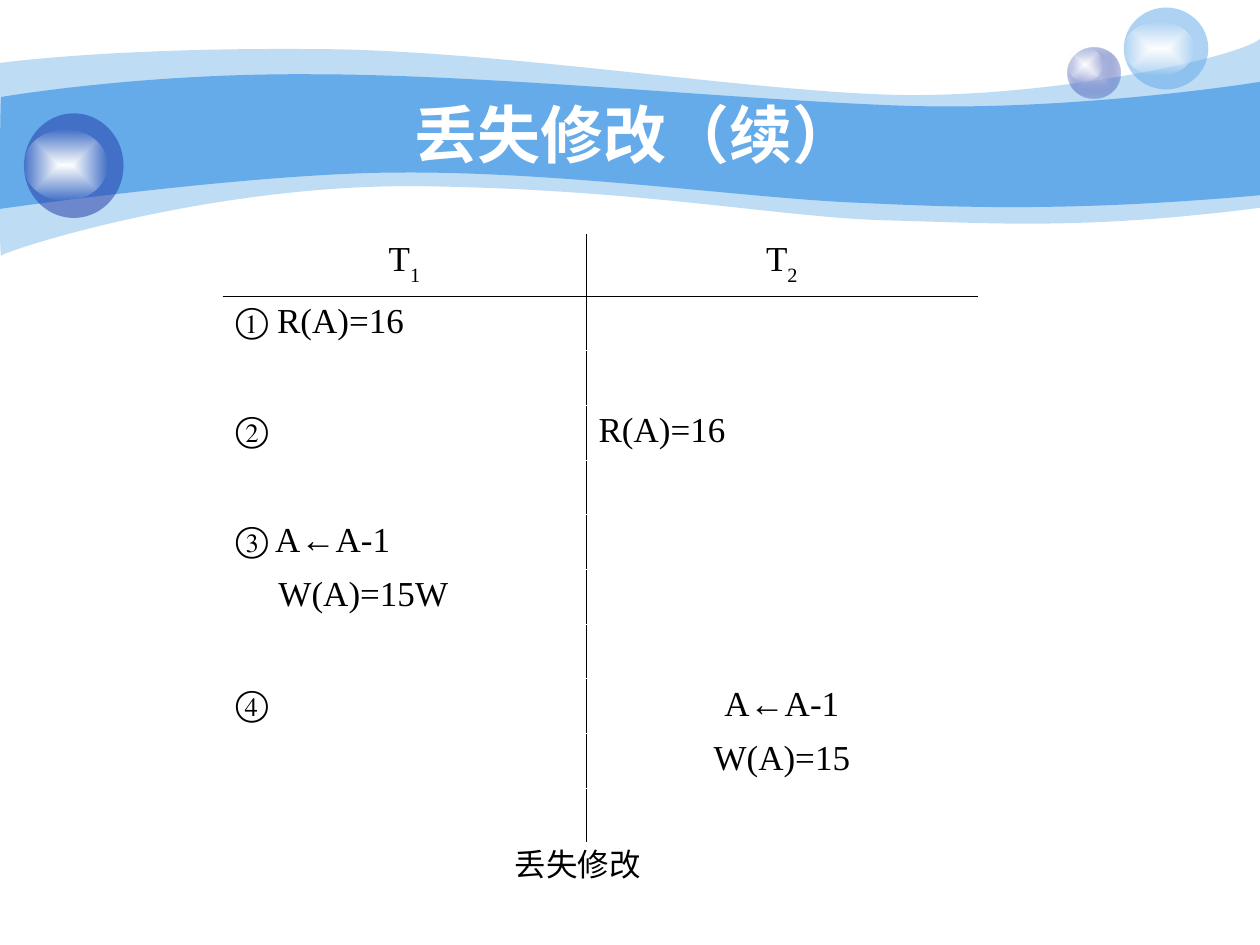
from lxml import etree
from pptx import Presentation
from pptx.dml.color import RGBColor
from pptx.enum.shapes import MSO_SHAPE
from pptx.enum.text import MSO_ANCHOR, MSO_AUTO_SIZE, PP_ALIGN
from pptx.oxml import parse_xml
from pptx.oxml.ns import nsdecls, qn
from pptx.util import Inches, Pt

OVAL = MSO_SHAPE.OVAL
MIDDLE = MSO_ANCHOR.MIDDLE
GROW = MSO_AUTO_SIZE.SHAPE_TO_FIT_TEXT
LEFT, CENTER = PP_ALIGN.LEFT, PP_ALIGN.CENTER

SKY, NAVY, WHITE, BLACK = "65AAE9", "233DA9", "FFFFFF", "000000"

# Each wave is a start point and a list of curves (six numbers) or lines (two).
OUTER = (0, 0.5), [
    (0.24, 0.47, 1.07, 0.38, 2.47, 0.39), (3.86, 0.39, 5.75, 0.7, 6.99, 0.75),
    (8.22, 0.8, 9.8, 0.47, 10, 0.31), (10, 1.65),
    (8.58, 1.83, 7.87, 1.77, 7.05, 1.75), (6.22, 1.73, 5.15, 1.51, 3.43, 1.48),
    (1.72, 1.44, 0.04, 1.99, 0.01, 2.03), (-0.01, 2.08, 0, 0.75, 0, 0.5)]
INNER = (0.01, 0.77), [
    (0.02, 0.77, 1.1, 0.58, 2.48, 0.59), (3.86, 0.59, 5.95, 0.8, 7.18, 0.84),
    (8.41, 0.88, 9.76, 0.69, 10, 0.65), (10, 1.55),
    (8.53, 1.68, 7.65, 1.65, 6.82, 1.61), (5.99, 1.58, 4.47, 1.36, 3.17, 1.37),
    (2.03, 1.37, -0.02, 1.66, -0.01, 1.66), (0, 1.66, 0, 0.77, 0.01, 0.77)]

GLOW = [(0, WHITE, 100), (100, WHITE, 0)]
HAZE = [(0, "C7CEE9", 100), (100, NAVY, 31)]

# Text, alignment and left indent, keyed by row and column
CELLS = {
    (0, 0): ("T", CENTER, 0), (0, 1): ("T", CENTER, 0),
    (1, 0): ("① R(A)=16", LEFT, 0),
    (3, 0): ("②", LEFT, 0), (3, 1): ("R(A)=16", LEFT, 0),
    (5, 0): ("③ A←A-1", LEFT, 0), (6, 0): ("W(A)=15W", LEFT, 0.34),
    (8, 0): ("④", LEFT, 0), (8, 1): ("A←A-1", CENTER, 0),
    (9, 1): ("W(A)=15", CENTER, 0),
}


def color(code):
    return RGBColor.from_string(code)


def bend(shape, parts):
    """Turn each three line segments that belong to a curve into that curve."""
    lines = iter(list(shape._element.iter(qn("a:lnTo"))))
    for part in parts:
        group = [next(lines) for _ in range(len(part) // 2)]
        if len(group) == 3:
            curve = etree.Element(qn("a:cubicBezTo"))
            group[0].addprevious(curve)
            for line in group:
                curve.append(line[0])
                line.getparent().remove(line)


class Deck:
    font = "Times New Roman"

    def __init__(self):
        self.show = Presentation()
        self.show.slide_width, self.show.slide_height = Inches(10), Inches(7.5)
        self.slide = self.show.slides.add_slide(self.show.slide_layouts[5])
        self.shapes = self.slide.shapes

    def paint(self, shape, code, alpha=100):
        shape.shadow.inherit = False
        shape.line.fill.background()
        shape.fill.solid()
        shape.fill.fore_color.rgb = color(code)
        if alpha < 100:
            tint = shape.fill._xPr.find(".//" + qn("a:srgbClr"))
            etree.SubElement(tint, qn("a:alpha")).set("val", str(alpha * 1000))

    def wave(self, outline, code, alpha=100):
        start, parts = outline
        points = [(Inches(part[i]), Inches(part[i + 1]))
                  for part in parts for i in range(0, len(part), 2)]
        pen = self.shapes.build_freeform(*map(Inches, start))
        pen.add_line_segments(points)
        shape = pen.convert_to_shape()
        bend(shape, parts)
        self.paint(shape, code, alpha)

    def ball(self, box, code, alpha=100):
        shape = self.shapes.add_shape(OVAL, *map(Inches, box))
        self.paint(shape, code, alpha)
        return shape

    def shine(self, box, stops):
        """Add an oval whose gradient runs outward from its centre."""
        shape = self.ball(box, WHITE)
        marks = "".join(
            f'<a:gs pos="{pos * 1000}"><a:srgbClr val="{code}">'
            f'<a:alpha val="{alpha * 1000}"/></a:srgbClr></a:gs>'
            for pos, code, alpha in stops)
        grad = parse_xml(
            f'<a:gradFill {nsdecls("a")} rotWithShape="1"><a:gsLst>{marks}</a:gsLst>'
            '<a:path path="rect"><a:fillToRect l="50000" t="50000" r="50000" '
            'b="50000"/></a:path></a:gradFill>')
        solid = shape._element.spPr.find(qn("a:solidFill"))
        solid.getparent().replace(solid, grad)

    def style(self, para, size, code=BLACK, align=CENTER, font=font, bold=False):
        para.alignment = align
        for run in para.runs:
            run.font.size, run.font.name, run.font.bold = Pt(size), font, bold
            run.font.color.rgb = color(code)

    def title(self, text, box):
        shape = self.shapes.title
        shape.left, shape.top, shape.width, shape.height = map(Inches, box)
        self.shapes._spTree.append(shape._element)  # in front of the waves
        frame = shape.text_frame
        frame.text = text
        frame.vertical_anchor = MIDDLE
        self.style(frame.paragraphs[0], 36, WHITE, font="Arial", bold=True)

    def label(self, text, box):
        frame = self.shapes.add_textbox(*map(Inches, box)).text_frame
        frame.text = text
        frame.word_wrap = False
        frame.auto_size = GROW
        self.style(frame.paragraphs[0], 18)

    def edge(self, cell, side, code):
        cell._tc.get_or_add_tcPr().append(parse_xml(
            f'<a:ln{side} {nsdecls("a")} w="5715"><a:solidFill>'
            f'<a:srgbClr val="{code}"/></a:solidFill></a:ln{side}>'))

    def fill(self, cell, row, col):
        """Write one cell of the schedule and rule its sides."""
        sides = {"L": BLACK if col else WHITE, "R": WHITE if col else BLACK,
                 "T": BLACK if row == 1 else WHITE,
                 "B": BLACK if row == 0 else WHITE}
        for side, code in sides.items():
            self.edge(cell, side, code)
        cell.fill.background()
        if (row, col) not in CELLS:
            return
        text, align, indent = CELLS[row, col]
        para = cell.text_frame.paragraphs[0]
        para.text = text
        if row == 0:
            sub = para.add_run()
            sub.text = str(col + 1)
            sub._r.get_or_add_rPr().set("baseline", "-30000")
        if indent:
            para._p.get_or_add_pPr().set("marL", str(Inches(indent)))
        self.style(para, 20, align=align)

    def table(self, left, top, widths, heights):
        table = self.shapes.add_table(
            len(heights), len(widths), Inches(left), Inches(top),
            Inches(sum(widths)), Inches(sum(heights))).table
        table.first_row = table.horz_banding = False
        for col, width in zip(table.columns, widths):
            col.width = Inches(width)
        for row, height in enumerate(heights):
            table.rows[row].height = Inches(height)
            for col in range(len(widths)):
                self.fill(table.cell(row, col), row, col)


def main():
    deck = Deck()
    deck.wave(OUTER, SKY, 41)
    deck.wave(INNER, SKY)
    deck.shine((8.47, 0.38, 0.42, 0.4), HAZE)
    deck.shine((8.47, 0.38, 0.28, 0.27), GLOW)
    deck.ball((8.92, 0.06, 0.67, 0.65), SKY, 53)
    deck.shine((8.92, 0.17, 0.56, 0.43), GLOW)
    deck.ball((0.19, 0.9, 0.79, 0.83), NAVY, 53)
    deck.shine((0.19, 1.03, 0.66, 0.56), GLOW)
    deck.title("丢失修改（续）", (1, 0.75, 8.08, 0.62))
    deck.table(1.77, 1.86, [2.88, 3.11], [0.49] + [4.34 / 10] * 10)
    deck.label("丢失修改", (3.61, 6.66, 1.95, 0.4))
    deck.show.save("out.pptx")


if __name__ == "__main__":
    main()
